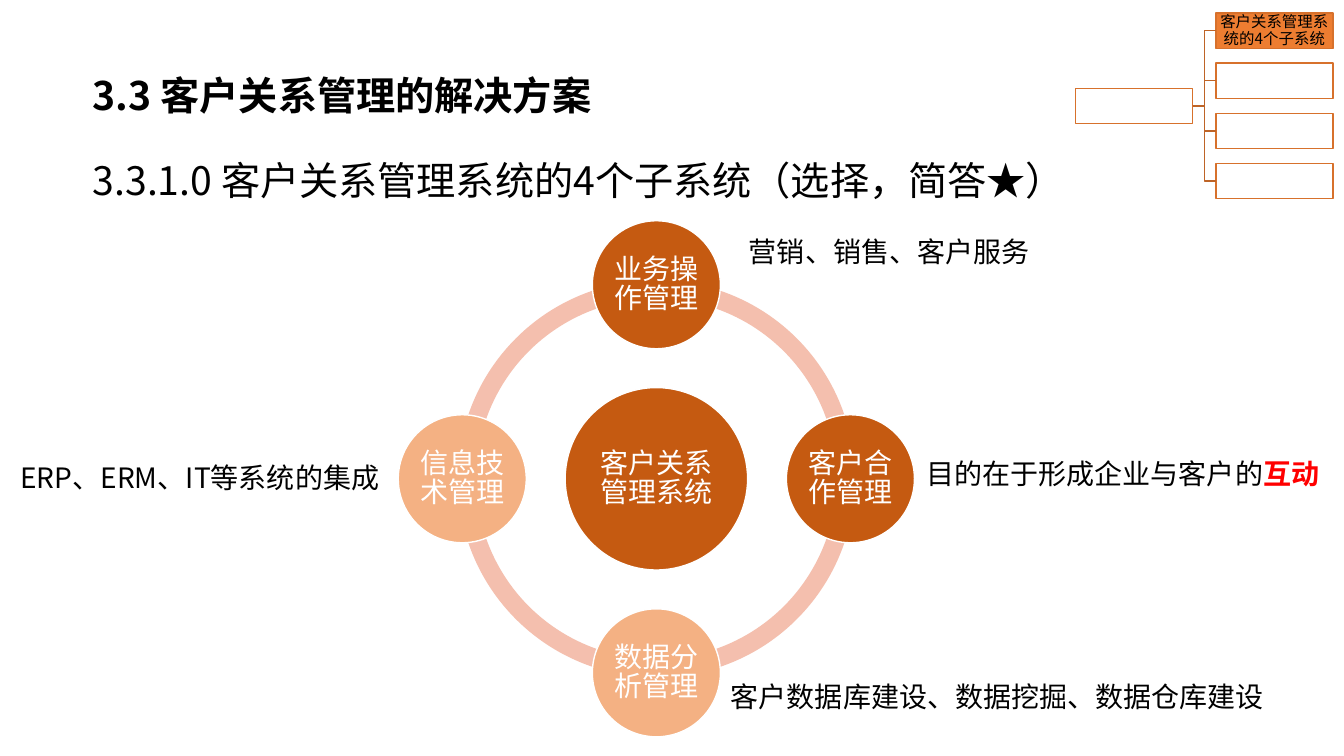
from dataclasses import dataclass
from math import cos, radians, sin

from lxml import etree
from pptx import Presentation
from pptx.dml.color import RGBColor
from pptx.enum.shapes import MSO_CONNECTOR as LINK, MSO_SHAPE as SHAPE
from pptx.enum.text import MSO_ANCHOR as ANCHOR, MSO_AUTO_SIZE as FIT, PP_ALIGN as ALIGN
from pptx.oxml.ns import qn
from pptx.util import Inches, Pt


@dataclass(frozen=True)
class Theme:
    black: str = "000000"
    white: str = "FFFFFF"
    red: str = "FF0000"
    dark: str = "C55A11"
    light: str = "F4B183"
    ring: str = "F4BFAE"
    active: str = "ED7D31"
    border: str = "D7712C"
    link: str = "BE6427"
    heading_font: str = "Noto Sans CJK SC"
    body_font: str = "Noto Sans CJK JP"
    heading_size: int = 28
    body_size: int = 20
    nav_size: int = 11


THEME = Theme()


def color(code):
    return RGBColor.from_string(code)


def style_span(span, font, size, code, bold=False):
    span.font.size = Pt(size)
    span.font.bold = bold
    span.font.color.rgb = color(code)
    span.font.name = font
    east_asian = etree.SubElement(span.font._element, qn("a:ea"))
    east_asian.set("typeface", font)


def set_insets(frame, across, down):
    frame.margin_left = frame.margin_right = Inches(across)
    frame.margin_top = frame.margin_bottom = Inches(down)


def add_shape(page, kind, box, fill, line=None):
    shape = page.shapes.add_shape(kind, *map(Inches, box))
    shape.shadow.inherit = False
    shape.fill.solid()
    shape.fill.fore_color.rgb = color(fill)
    if line:
        shape.line.color.rgb = color(line)
        shape.line.width = Pt(1)
    else:
        shape.line.fill.background()
    return shape


def add_label(shape, text, inset, spacing, font, size, code):
    """Centre a caption inside a shape."""
    frame = shape.text_frame
    frame.word_wrap = True
    frame.vertical_anchor = ANCHOR.MIDDLE
    set_insets(frame, inset, inset)
    frame.text = text
    para = frame.paragraphs[0]
    para.alignment = ALIGN.CENTER
    para.line_spacing = spacing
    style_span(para.runs[0], font, size, code)


def add_heading(page, box, text, bold=False, spacing=1.0, anchor=ANCHOR.TOP):
    frame = page.shapes.add_textbox(*map(Inches, box)).text_frame
    frame.word_wrap = True
    frame.vertical_anchor = anchor
    set_insets(frame, 0.12, 0.06)
    frame.text = text
    para = frame.paragraphs[0]
    para.line_spacing = spacing
    style_span(para.runs[0], THEME.heading_font, THEME.heading_size, THEME.black, bold)


def add_note(page, box, text, accent="", align=ALIGN.LEFT):
    """Explain a subsystem beside its circle, with an optional accented ending."""
    frame = page.shapes.add_textbox(*map(Inches, box)).text_frame
    frame.word_wrap = True
    frame.auto_size = FIT.SHAPE_TO_FIT_TEXT
    frame.text = text
    para = frame.paragraphs[0]
    para.alignment = align
    style_span(para.runs[0], THEME.body_font, THEME.body_size, THEME.black)
    if accent:
        span = para.add_run()
        span.text = accent
        style_span(span, THEME.body_font, THEME.body_size, THEME.red, bold=True)


def add_cycle(page, box, hub_text, nodes):
    """Draw a ring with a hub and equally spaced circles, clockwise from the top."""
    left, top, side, _ = box
    middle_x, middle_y = left + side / 2, top + side / 2
    orbit, hub_size, node_size = side / 2 - 0.045, 1.81, 1.27
    step = 360 / len(nodes)

    # Ring segments: angle adjustments are in units of 5/3 degree
    for index in range(len(nodes)):
        arc = add_shape(page, SHAPE.BLOCK_ARC, box, THEME.ring)
        arc.adjustments[0] = index * step * 0.6
        arc.adjustments[1] = (index + 1) * step % 360 * 0.6
        arc.adjustments[2] = 0.046

    def add_circle(x, y, size, text, fill):
        place = (x - size / 2, y - size / 2, size, size)
        circle = add_shape(page, SHAPE.OVAL, place, fill, THEME.white)
        add_label(circle, text, 0.03, Pt(21), THEME.body_font, THEME.body_size, THEME.white)

    # Hub and circles
    add_circle(middle_x, middle_y, hub_size, hub_text, THEME.dark)
    for index, (text, fill) in enumerate(nodes):
        angle = radians(index * step - 90)
        add_circle(middle_x + orbit * cos(angle), middle_y + orbit * sin(angle),
                   node_size, text, fill)


def add_navigator(page, box, labels):
    """Draw a small tree: one root on the left, one child per label on the right."""
    left, top, width, height = box
    cell_width, cell_height = 1.16, 0.35
    pitch = (height - cell_height) / (len(labels) - 1)
    root_box = (left, top + (height - cell_height) / 2, cell_width, cell_height)
    root = add_shape(page, SHAPE.RECTANGLE, root_box, THEME.white, THEME.border)

    for index, text in enumerate(labels):
        child_box = (left + width - cell_width, top + index * pitch, cell_width, cell_height)
        fill = THEME.active if text else THEME.white
        child = add_shape(page, SHAPE.RECTANGLE, child_box, fill, THEME.border)
        if text:
            add_label(child, text, 0.01, 0.9, THEME.heading_font, THEME.nav_size, THEME.black)
        link = page.shapes.add_connector(LINK.ELBOW, 0, 0, 0, 0)
        link.begin_connect(root, 3)
        link.end_connect(child, 1)
        link.line.color.rgb = color(THEME.link)
        link.line.width = Pt(1)
        etree.SubElement(link._element.spPr, qn("a:effectLst"))


def build_slide(page):
    # Headings
    add_heading(page, (0.8, 1.15, 12.16, 1.04),
                "3.3.1.0 客户关系管理系统的4个子系统（选择，简答★）",
                spacing=1.5, anchor=ANCHOR.MIDDLE)
    add_heading(page, (0.8, 0.65, 11.45, 0.59), "3.3 客户关系管理的解决方案", bold=True)

    # Cycle of the four subsystems
    add_cycle(page, (4.54, 2.78, 3.94, 3.94), "客户关系管理系统", [
        ("业务操作管理", THEME.dark),
        ("客户合作管理", THEME.dark),
        ("数据分析管理", THEME.light),
        ("信息技术管理", THEME.light),
    ])

    # Notes around the cycle
    add_note(page, (7.33, 2.28, 4.37, 0.44), "营销、销售、客户服务")
    add_note(page, (9.09, 4.48, 4.19, 0.44), "目的在于形成企业与客户的", accent="互动")
    add_note(page, (7.15, 6.69, 6.25, 0.44), "客户数据库建设、数据挖掘、数据仓库建设")
    add_note(page, (0.05, 4.52, 3.81, 0.44), "ERP、ERM、IT等系统的集成", align=ALIGN.RIGHT)

    # Chapter navigator
    add_navigator(page, (10.67, 0.13, 2.55, 1.84), ["客户关系管理系统的4个子系统", "", "", ""])


def main():
    deck = Presentation()
    deck.slide_width, deck.slide_height = Inches(13.33), Inches(7.5)
    build_slide(deck.slides.add_slide(deck.slide_layouts[6]))
    deck.save("out.pptx")


if __name__ == "__main__":
    main()
